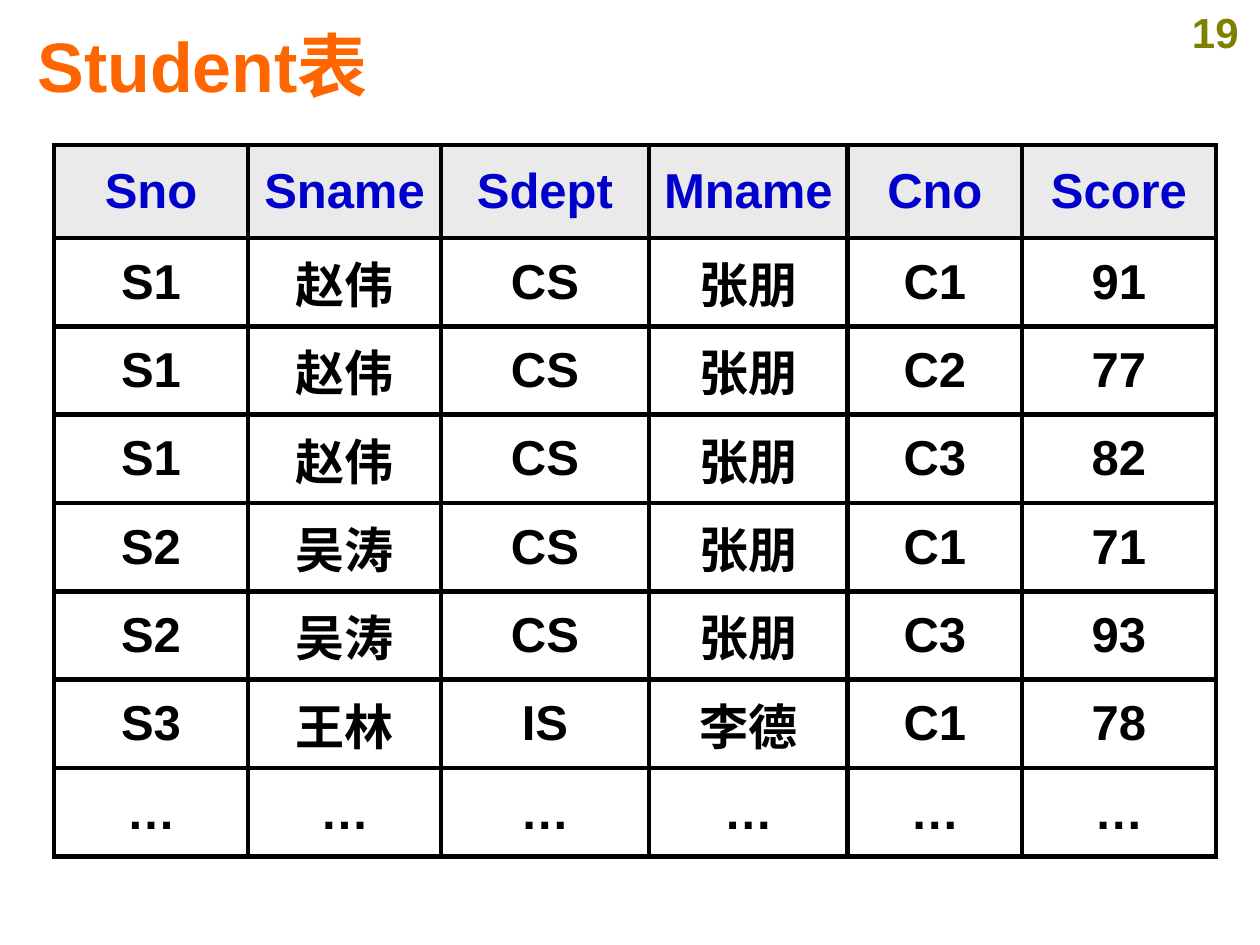
from lxml.etree import SubElement
from pptx import Presentation
from pptx.dml.color import RGBColor as RGB
from pptx.enum.text import MSO_ANCHOR as Anchor, PP_ALIGN as Align
from pptx.oxml.ns import qn
from pptx.util import Cm, Pt

THEME = {
    "font": "Arial",
    "title": {"size": 40, "color": "FF6600"},
    "number": {"size": 24, "color": "808000"},
    "header": {"size": 28, "color": "0000CC", "fill": "EAEAEA"},
    "body": {"size": 28, "color": "000000", "fill": "FFFFFF"},
    "border": {"width": 3, "color": "000000"},
}
COLUMN_WIDTHS = [3.91, 3.89, 4.19, 4.01, 3.51, 3.91]
HEADER_HEIGHT, ROW_HEIGHT = 1.88, 1.78
ROWS = [
    ["Sno", "Sname", "Sdept", "Mname", "Cno", "Score"],
    ["S1", "赵伟", "CS", "张朋", "C1", "91"],
    ["S1", "赵伟", "CS", "张朋", "C2", "77"],
    ["S1", "赵伟", "CS", "张朋", "C3", "82"],
    ["S2", "吴涛", "CS", "张朋", "C1", "71"],
    ["S2", "吴涛", "CS", "张朋", "C3", "93"],
    ["S3", "王林", "IS", "李德", "C1", "78"],
    ["…"] * 6,
]


def write_text(text_frame, text, style, alignment):
    text_frame.word_wrap = True
    paragraph = text_frame.paragraphs[0]
    paragraph.alignment = alignment
    run = paragraph.add_run()
    run.text = text
    values = {"name": THEME["font"], "size": Pt(style["size"]), "bold": True}
    for name, value in values.items():
        setattr(run.font, name, value)
    run.font.color.rgb = RGB.from_string(style["color"])


def add_borders(cell):
    properties = cell._tc.get_or_add_tcPr()
    for side in ("lnL", "lnR", "lnT", "lnB"):
        line = SubElement(properties, qn(f"a:{side}"), w=str(Pt(THEME["border"]["width"])))
        fill = SubElement(line, qn("a:solidFill"))
        SubElement(fill, qn("a:srgbClr"), val=THEME["border"]["color"])


presentation = Presentation()
presentation.slide_width, presentation.slide_height = Cm(25.4), Cm(19.05)
slide = presentation.slides.add_slide(presentation.slide_layouts[6])

# Slide number and title
for text, style, box, alignment, anchor in [
    ("19", "number", (23.6, 0, 1.8, 1.27), Align.CENTER, Anchor.TOP),
    ("Student表", "title", (0.51, 0.33, 24.05, 1.93), Align.LEFT, Anchor.MIDDLE),
]:
    text_box = slide.shapes.add_textbox(*map(Cm, box))
    text_box.text_frame.vertical_anchor = anchor
    write_text(text_box.text_frame, text, THEME[style], alignment)

# Student table
table_height = HEADER_HEIGHT + ROW_HEIGHT * (len(ROWS) - 1)
table = slide.shapes.add_table(
    len(ROWS), len(COLUMN_WIDTHS),
    Cm(1.09), Cm(2.92), Cm(sum(COLUMN_WIDTHS)), Cm(table_height),
).table
table.horz_banding = False
for column, width in zip(table.columns, COLUMN_WIDTHS):
    column.width = Cm(width)

for row_index, (row, values) in enumerate(zip(table.rows, ROWS)):
    row.height = Cm(ROW_HEIGHT if row_index else HEADER_HEIGHT)
    style = THEME["body" if row_index else "header"]
    for cell, value in zip(row.cells, values):
        add_borders(cell)
        cell.fill.solid()
        cell.fill.fore_color.rgb = RGB.from_string(style["fill"])
        cell.vertical_anchor = Anchor.MIDDLE
        write_text(cell.text_frame, value, style, Align.CENTER)

presentation.save("out.pptx")
